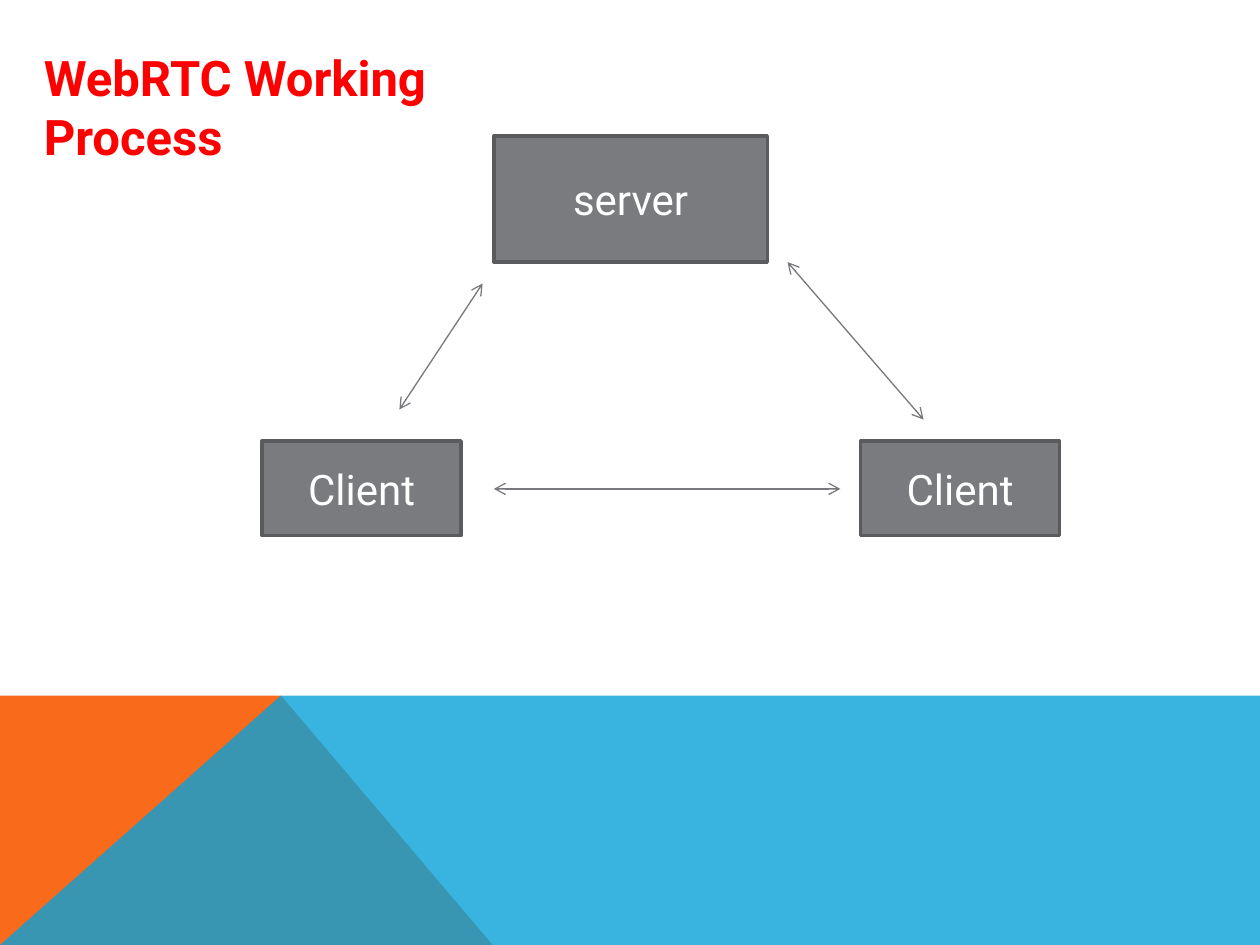
from lxml.etree import SubElement
from pptx import Presentation
from pptx.dml.color import RGBColor
from pptx.enum.shapes import MSO_CONNECTOR as CONNECTOR, MSO_SHAPE as SHAPE
from pptx.enum.text import MSO_ANCHOR as ANCHOR, PP_ALIGN as ALIGN
from pptx.oxml.ns import qn
from pptx.util import Inches, Pt

COLORS = {
    "title": "FF0000", "label": "FFFFFF", "box": "797B7E", "border": "5A5B5D",
    "arrow": "76787B", "orange": "F96A1B", "blue": "08A1D9",
}


class Diagram:
    """Holds the style and the current slide."""

    font = "Roboto"

    def __init__(self, slide):
        """Keep the slide to draw on."""
        self.shapes = slide.shapes

    def color(self, name):
        """Look up a named colour."""
        return RGBColor.from_string(COLORS[name])

    def add_label(self, frame, text, size, color, bold=False, align=ALIGN.LEFT):
        """Put one styled run into a text frame."""
        frame.word_wrap = True
        paragraph = frame.paragraphs[0]
        paragraph.alignment = align
        run = paragraph.add_run()
        run.text = text
        run.font.name, run.font.size, run.font.bold = self.font, Pt(size), bold
        run.font.color.rgb = self.color(color)

    def title(self, text, left, top, width, height):
        """Add the slide title."""
        box = self.shapes.add_textbox(*map(Inches, (left, top, width, height)))
        self.add_label(box.text_frame, text, 28, "title", bold=True)

    def node(self, text, left, top, width, height):
        """Add a labelled box."""
        box = self.shapes.add_shape(SHAPE.RECTANGLE, *map(Inches, (left, top, width, height)))
        box.shadow.inherit = False
        box.fill.solid()
        box.fill.fore_color.rgb = self.color("box")
        box.line.color.rgb = self.color("border")
        box.line.width = Pt(2)
        box.text_frame.vertical_anchor = ANCHOR.MIDDLE
        self.add_label(box.text_frame, text, 24, "label", align=ALIGN.CENTER)

    def link(self, start, end):
        """Add a thin line with an open arrowhead at both ends."""
        line = self.shapes.add_connector(CONNECTOR.STRAIGHT, *map(Inches, start + end))
        line.line.color.rgb = self.color("arrow")
        line.line.width = Pt(0.75)
        outline = line._element.spPr.find(qn("a:ln"))
        for tag in ("a:headEnd", "a:tailEnd"):
            SubElement(outline, qn(tag), type="arrow")
        SubElement(line._element.spPr, qn("a:effectLst"))

    def band(self, points, color, alpha=100):
        """Add a filled polygon, with its opacity in percent."""
        corners = [(Inches(x), Inches(y)) for x, y in points]
        builder = self.shapes.build_freeform(*corners[0])
        builder.add_line_segments(corners[1:], close=True)
        shape = builder.convert_to_shape()
        shape.shadow.inherit = False
        shape.fill.solid()
        shape.fill.fore_color.rgb = self.color(color)
        shape.line.fill.background()
        if alpha < 100:
            tint = shape._element.spPr.find(qn("a:solidFill"))[0]
            SubElement(tint, qn("a:alpha"), val=str(alpha * 1000))


WIDTH, HEIGHT = 10, 7.5
BAND_TOP, PEAK = 5.52, 2.23
CLIENT_TOP, CLIENT_SIZE = 3.5, (1.58, 0.75)

deck = Presentation()
deck.slide_width, deck.slide_height = Inches(WIDTH), Inches(HEIGHT)
diagram = Diagram(deck.slides.add_slide(deck.slide_layouts[6]))

diagram.band([(0, HEIGHT), (0, BAND_TOP), (PEAK, BAND_TOP), (3.91, HEIGHT)], "orange")
diagram.band([(0, HEIGHT), (PEAK, BAND_TOP), (WIDTH, BAND_TOP), (WIDTH, HEIGHT)], "blue", 80)

diagram.node("server", 3.92, 1.08, 2.17, 1)
for client_left in (2.08, 6.83):
    diagram.node("Client", client_left, CLIENT_TOP, *CLIENT_SIZE)

for start, end in (
    ((3.83, 2.25), (3.17, 3.25)),
    ((3.92, 3.88), (6.67, 3.88)),
    ((6.25, 2.08), (7.33, 3.33)),
):
    diagram.link(start, end)

diagram.title("WebRTC Working Process", 0.25, 0.33, 4.35, 1.03)

deck.save("out.pptx")
